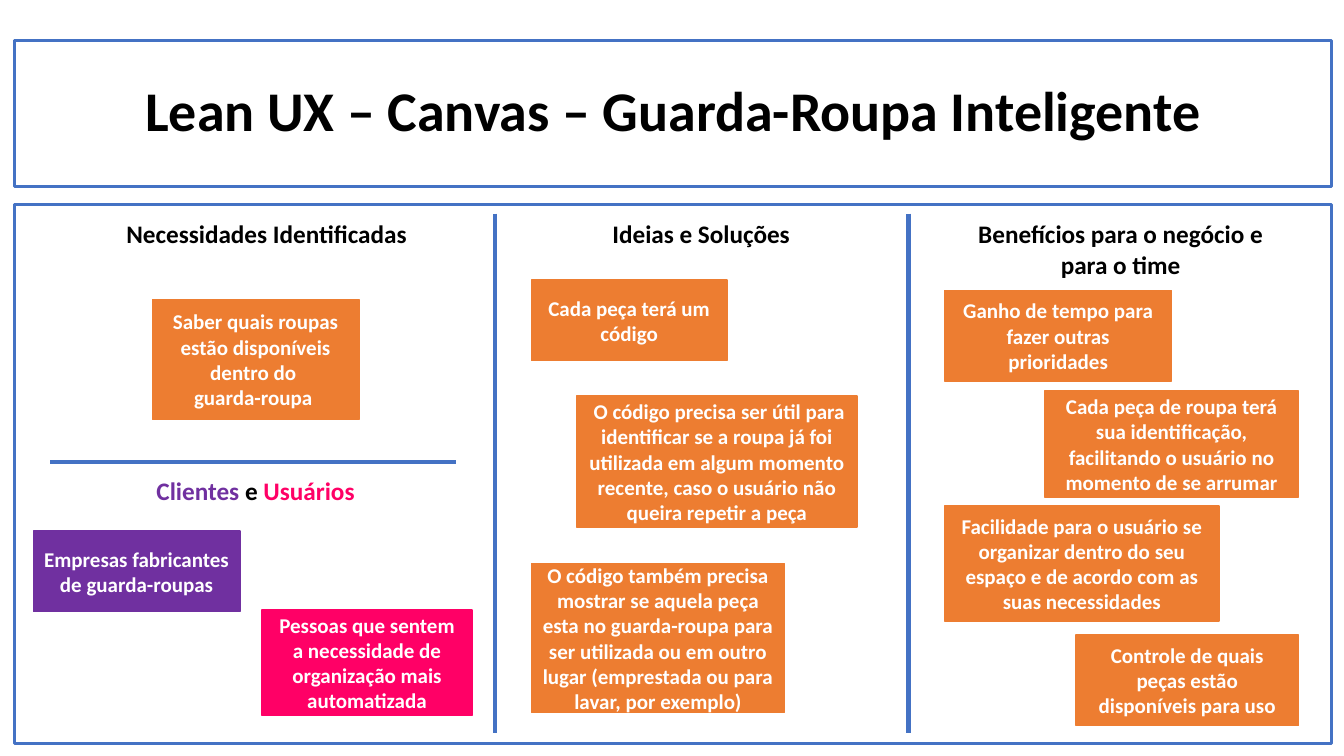
from dataclasses import dataclass

from pptx import Presentation
from pptx import util as u
from pptx.dml.color import RGBColor
from pptx.enum import shapes, text
from pptx.oxml.ns import qn
from lxml import etree

FONT = "Calibri"
BLUE, ORANGE, PURPLE, PINK = "4472C4", "ED7D31", "7030A0", "FF0066"
BLACK, WHITE = "000000", "FFFFFF"
FRAME_LEFT, FRAME_WIDTH = 0.14, 13.07
COLUMN_TOP, COLUMN_BOTTOM = 2.12, 7.27
HEADING_WIDTH = 3.23


@dataclass
class Heading:
    left: float
    top: float
    words: list[tuple[str, str]]  # wording and colour
    height: float = 0.4


@dataclass
class Note:
    left: float
    top: float
    width: float
    height: float
    wording: str
    colour: str = ORANGE


@dataclass
class Divider:
    x1: float
    y1: float
    x2: float
    y2: float


DIVIDERS = [
    Divider(9.01, COLUMN_TOP, 9.01, COLUMN_BOTTOM),
    Divider(4.91, COLUMN_TOP, 4.91, COLUMN_BOTTOM),
    Divider(4.52, 4.58, 0.5, 4.58),
]

HEADINGS = [
    Heading(1.03, COLUMN_TOP, [("Necessidades Identificadas", BLACK)]),
    Heading(5.34, COLUMN_TOP, [("Ideias e Soluções", BLACK)]),
    Heading(9.5, COLUMN_TOP, [("Benefícios para o negócio e para o time", BLACK)], 0.71),
    Heading(0.92, 4.67, [("Clientes", PURPLE), (" e ", BLACK), ("Usuários", PINK)]),
]

NOTES = [
    # Needs
    Note(1.51, 2.97, 2.05, 1.19,
         "Saber quais roupas estão disponíveis dentro do \nguarda-roupa "),
    # Customers and users
    Note(0.33, 5.27, 2.05, 0.8, "Empresas fabricantes de guarda-roupas", PURPLE),
    Note(2.6, 6.05, 2.08, 1.05,
         "Pessoas que sentem a necessidade de organização mais automatizada", PINK),
    # Ideas and solutions
    Note(5.27, 2.78, 1.94, 0.8, "Cada peça terá um código"),
    Note(5.72, 3.93, 2.78, 1.3,
         " O código precisa ser útil para identificar se a roupa já foi utilizada "
         "em algum momento recente, caso o usuário não queira repetir a peça"),
    Note(5.27, 5.59, 2.51, 1.48,
         "O código também precisa mostrar se aquela peça esta no guarda-roupa para "
         "ser utilizada ou em outro lugar (emprestada ou para lavar, por exemplo)"),
    # Benefits
    Note(9.37, 2.88, 2.25, 0.9, "Ganho de tempo para fazer outras prioridades"),
    Note(10.36, 3.88, 2.52, 1.05,
         "Cada peça de roupa terá sua identificação, facilitando o usuário no "
         "momento de se arrumar"),
    Note(9.37, 5.02, 2.72, 1.14,
         "Facilidade para o usuário se organizar dentro do seu espaço e de acordo "
         "com as suas necessidades"),
    Note(10.67, 6.3, 2.21, 0.9, "Controle de quais peças estão disponíveis para uso"),
]


def rgb(colour: str) -> RGBColor:
    return RGBColor.from_string(colour)


def box(left: float, top: float, width: float, height: float) -> list[u.Length]:
    return [u.Inches(value) for value in (left, top, width, height)]


def style_run(run, size: float, colour: str) -> None:
    run.font.name = FONT
    run.font.size = u.Pt(size)
    run.font.bold = True
    run.font.color.rgb = rgb(colour)


def style_text(frame, size: float, colour: str) -> None:
    frame.word_wrap = True
    frame.vertical_anchor = text.MSO_ANCHOR.MIDDLE
    for paragraph in frame.paragraphs:
        paragraph.alignment = text.PP_ALIGN.CENTER
        for run in paragraph.runs:
            style_run(run, size, colour)


def outline(item, colour: str, width: float) -> None:
    item.line.color.rgb = rgb(colour)
    item.line.width = u.Pt(width)


def add_title(slide, wording: str) -> None:
    title = slide.shapes.title
    title.left, title.top, title.width, title.height = box(
        FRAME_LEFT, 0.4, FRAME_WIDTH, 1.45)
    outline(title, BLUE, 2.25)
    title.text_frame.text = wording
    title.text_frame.auto_size = text.MSO_AUTO_SIZE.NONE
    style_text(title.text_frame, 40, BLACK)
    title.text_frame.paragraphs[0].line_spacing = 0.9


def add_frame(slide) -> None:
    frame = slide.shapes.add_shape(
        shapes.MSO_SHAPE.RECTANGLE, *box(FRAME_LEFT, 2.03, FRAME_WIDTH, 5.35))
    frame.shadow.inherit = False
    frame.fill.background()
    outline(frame, BLUE, 2.25)


def add_divider(slide, divider: Divider) -> None:
    line = slide.shapes.add_connector(
        shapes.MSO_CONNECTOR.STRAIGHT,
        *box(divider.x1, divider.y1, divider.x2, divider.y2))
    outline(line, BLUE, 3)
    etree.SubElement(line._element.spPr, qn("a:effectLst"))


def add_heading(slide, heading: Heading) -> None:
    frame = slide.shapes.add_textbox(
        *box(heading.left, heading.top, HEADING_WIDTH, heading.height)).text_frame
    frame.word_wrap = True
    frame.auto_size = text.MSO_AUTO_SIZE.SHAPE_TO_FIT_TEXT
    paragraph = frame.paragraphs[0]
    paragraph.alignment = text.PP_ALIGN.CENTER
    for wording, colour in heading.words:
        run = paragraph.add_run()
        run.text = wording
        style_run(run, 18, colour)


def add_note(slide, note: Note) -> None:
    card = slide.shapes.add_shape(
        shapes.MSO_SHAPE.RECTANGLE,
        *box(note.left, note.top, note.width, note.height))
    card.shadow.inherit = False
    card.fill.solid()
    card.fill.fore_color.rgb = rgb(note.colour)
    outline(card, note.colour, 1)
    card.text_frame.text = note.wording
    style_text(card.text_frame, 15, WHITE)


def main() -> None:
    deck = Presentation()
    deck.slide_width, deck.slide_height = u.Inches(13.33), u.Inches(7.5)
    slide = deck.slides.add_slide(deck.slide_layouts.get_by_name("Title Only"))

    # Title and canvas
    add_title(slide, "Lean UX – Canvas – Guarda-Roupa Inteligente")
    add_frame(slide)
    for divider in DIVIDERS:
        add_divider(slide, divider)

    # Sections and their notes
    for heading in HEADINGS:
        add_heading(slide, heading)
    for note in NOTES:
        add_note(slide, note)

    deck.save("out.pptx")


if __name__ == "__main__":
    main()
